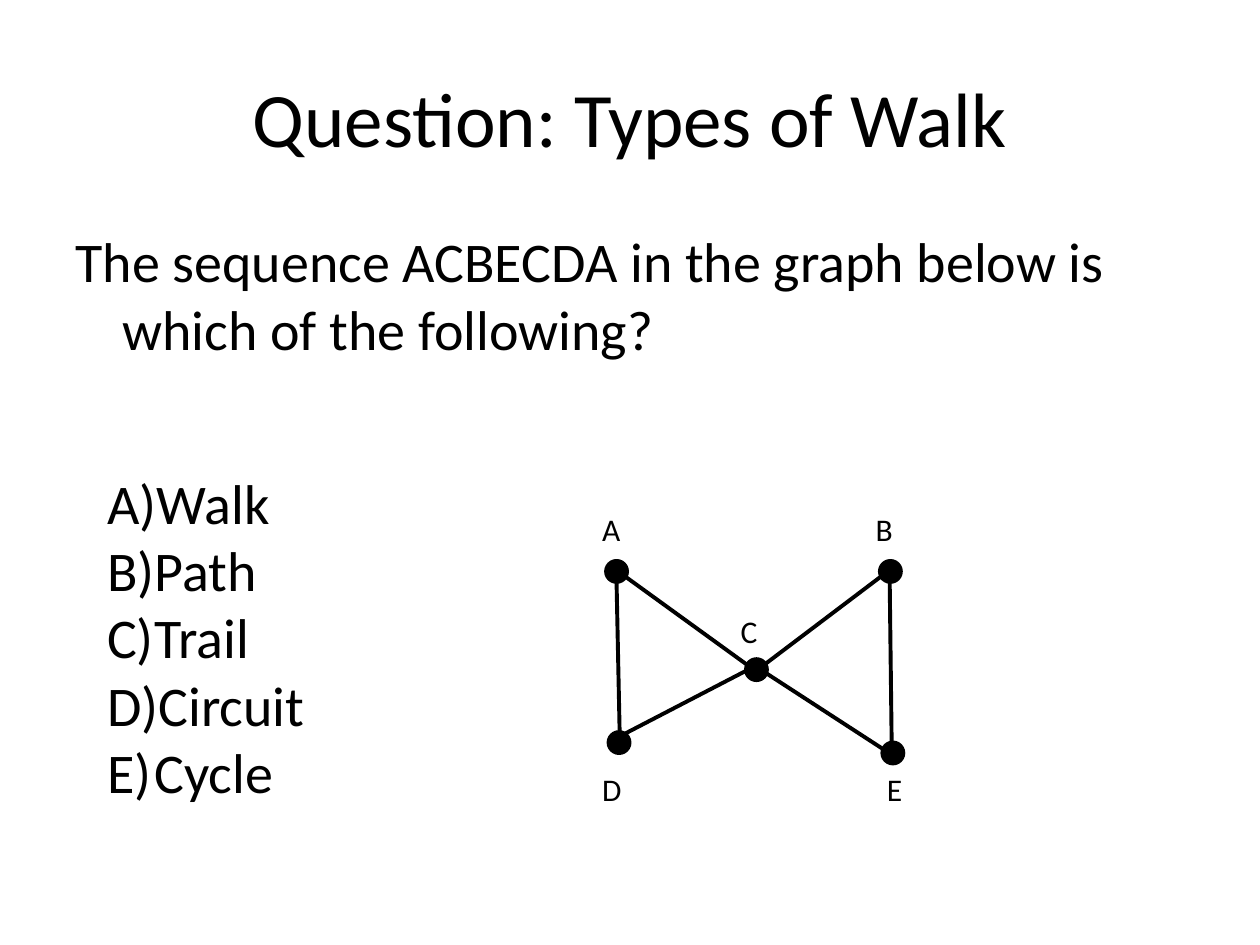
from pptx import Presentation
from pptx.dml.color import RGBColor
from pptx.enum.shapes import MSO_CONNECTOR as Link, MSO_SHAPE as Preset
from pptx.enum.text import MSO_ANCHOR as Anchor, MSO_AUTO_SIZE as Fit, PP_ALIGN as Align
from pptx.oxml.ns import qn
from pptx.util import Cm, Pt
from lxml.etree import SubElement

COLORS = {"ink": "000000", "paper": "FFFFFF"}
INK = RGBColor.from_string(COLORS["ink"])


def add_text(box, lines, size, frame_format, align=Align.LEFT, hanging=False, numbering=None):
    frame = slide.shapes.add_textbox(*map(Cm, box)).text_frame
    for name, value in frame_format.items():
        setattr(frame, name, value)
    for i, line in enumerate(lines):
        paragraph = frame.add_paragraph() if i else frame.paragraphs[0]
        paragraph.alignment = align
        props = paragraph._p.get_or_add_pPr()
        if hanging:
            props.set("marL", str(Cm(0.95)))
            props.set("indent", str(Cm(-0.95)))
        if numbering:
            SubElement(props, qn("a:buFont"), typeface="Calibri")
            SubElement(props, qn("a:buAutoNum"), type=numbering)
        run = paragraph.add_run()
        run.text = line
        for name, value in {"name": "Calibri", "size": Pt(size)}.items():
            setattr(run.font, name, value)
        run.font.color.rgb = INK


deck = Presentation()
deck.slide_width, deck.slide_height = Cm(25.4), Cm(19.05)
slide = deck.slides.add_slide(deck.slide_layouts[6])
slide.background.fill.solid()
slide.background.fill.fore_color.rgb = RGBColor.from_string(COLORS["paper"])

# Title and question
add_text((1.27, 0.76, 22.86, 3.18), ["Question: Types of Walk"], 44,
         {"word_wrap": True, "vertical_anchor": Anchor.MIDDLE}, align=Align.CENTER)
add_text((1.27, 4.45, 22.86, 3.18),
         ["The sequence ACBECDA in the graph below is which of the following?"], 32,
         {"word_wrap": True}, hanging=True)

# Graph edges
edges = [
    (12.27, 11.38, 15.39, 13.64),  # A-C
    (15.09, 13.64, 18.08, 11.38),  # C-B
    (12.27, 14.96, 15.39, 13.34),  # D-C
    (15.09, 13.34, 18.14, 15.32),  # C-E
    (17.98, 15.39, 17.93, 11.30),  # E-B
    (12.42, 11.30, 12.50, 15.19),  # A-D
]
for ends in edges:
    edge = slide.shapes.add_connector(Link.STRAIGHT, *map(Cm, ends))
    edge.line.color.rgb = INK
    edge.line.width = Pt(2.25)
    SubElement(edge._element.spPr, qn("a:effectLst"))

# Graph nodes: centre, then left, top and width of the label
NODE = 0.43
nodes = {
    "B": (17.95, 11.52, 17.40, 10.16, 0.84),
    "A": (12.43, 11.52, 11.89, 10.16, 0.86),
    "C": (15.25, 13.50, 14.68, 12.22, 0.84),
    "E": (18.00, 15.18, 17.63, 15.39, 0.81),
    "D": (12.48, 14.97, 11.89, 15.39, 0.89),
}
for letter, (x, y, left, top, width) in nodes.items():
    node = slide.shapes.add_shape(Preset.OVAL, Cm(x - NODE / 2), Cm(y - NODE / 2),
                                  Cm(NODE), Cm(NODE))
    node.shadow.inherit = False
    node.fill.solid()
    node.fill.fore_color.rgb = INK
    node.line.color.rgb = INK
    node.line.width = Pt(2)
    add_text((left, top, width, 1.02), [letter], 18,
             {"word_wrap": False, "auto_size": Fit.SHAPE_TO_FIT_TEXT})

# Answer options
add_text((1.91, 9.32, 5.92, 7.04), ["Walk", "Path", "Trail", "Circuit", "Cycle"], 32,
         {"word_wrap": True, "auto_size": Fit.SHAPE_TO_FIT_TEXT},
         hanging=True, numbering="alphaUcParenR")

deck.save("out.pptx")
